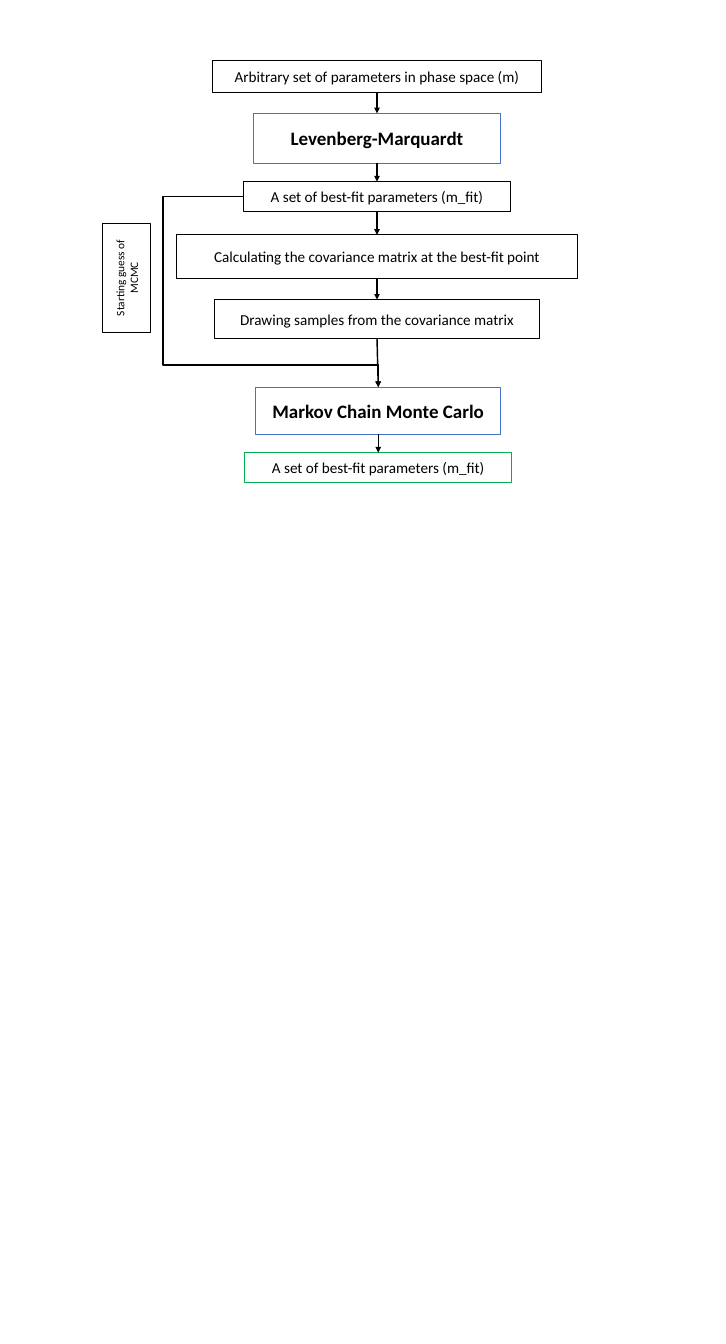
from itertools import pairwise
from lxml.etree import SubElement
from pptx import Presentation
from pptx.dml.color import RGBColor
from pptx.enum.shapes import MSO_CONNECTOR, MSO_SHAPE
from pptx.enum.text import MSO_ANCHOR, PP_ALIGN
from pptx.oxml.ns import qn
from pptx.util import Inches, Pt

HUES = {"ink": "000000", "paper": "FFFFFF", "blue": "4472C4", "green": "00B050"}
FONT = "Calibri"

# Centre, top, width and height in percent of the area.
STEPS = [
    ("Arbitrary set of parameters in phase space (m)", "ink", 16, (51.93, 4.47, 45.25, 2.44)),
    ("Levenberg-Marquardt", "blue", 20, (51.93, 8.43, 34.05, 3.71)),
    ("A set of best-fit parameters (m_fit)", "ink", 16, (51.93, 13.51, 36.78, 2.23)),
    ("Calculating the covariance matrix at the best-fit point", "ink", 16, (51.93, 17.47, 55.32, 3.25)),
    ("Drawing samples from the covariance matrix", "ink", 16, (51.93, 22.3, 44.87, 2.89)),
    ("Markov Chain Monte Carlo", "blue", 20, (52.1, 28.8, 33.77, 3.5)),
    ("A set of best-fit parameters (m_fit)", "green", 16, (52.1, 33.67, 36.78, 2.23)),
]
SIDE = ("Starting guess of MCMC", "ink", 12, (17.45, 18.89, 14.96, 3.56))


def tint(name):
    """Return a named colour."""
    return RGBColor.from_string(HUES[name])


def add_box(slide, area, text, edge, size, place):
    """Draw one labelled box at its share of the area."""
    left, top, width, height = area
    mid, down, wide, high = (share / 100 for share in place)
    box = slide.shapes.add_shape(
        MSO_SHAPE.RECTANGLE,
        int(left + (mid - wide / 2) * width), int(top + down * height),
        int(wide * width), int(high * height))
    box.shadow.inherit = False
    box.fill.solid()
    box.fill.fore_color.rgb = tint("paper")
    box.line.color.rgb = tint(edge)
    box.line.width = Pt(1)
    frame = box.text_frame
    frame.word_wrap = True
    frame.vertical_anchor = MSO_ANCHOR.MIDDLE
    para = frame.paragraphs[0]
    para.alignment = PP_ALIGN.CENTER
    run = para.add_run()
    run.text = text
    run.font.name = FONT
    run.font.size = Pt(size)
    run.font.bold = edge == "blue"
    run.font.color.rgb = tint("ink")
    return box


def add_link(slide, start, end, side=2, kind=MSO_CONNECTOR.STRAIGHT):
    """Join a side of one box to the top of another with an arrow."""
    link = slide.shapes.add_connector(kind, 0, 0, 0, 0)
    link.begin_connect(start, side)
    link.end_connect(end, 0)
    link.line.color.rgb = tint("ink")
    link.line.width = Pt(1.5)
    SubElement(link.line._get_or_add_ln(), qn("a:tailEnd"), type="triangle")
    SubElement(link._element.spPr, qn("a:effectLst"))
    return link


def add_bypass(slide, start, end):
    """Lead an arrow around the left of the steps between two boxes."""
    link = add_link(slide, start, end, 1, MSO_CONNECTOR.ELBOW)
    geom = link._element.spPr.find(qn("a:prstGeom"))
    geom.set("prst", "bentConnector4")
    guides = geom.find(qn("a:avLst"))
    for name, value in (("adj1", -59700), ("adj2", 88500)):
        SubElement(guides, qn("a:gd"), name=name, fmla=f"val {value}")


def add_flow(slide, area):
    """Draw the chain of steps, its arrows and the side label."""
    boxes = [add_box(slide, area, *step) for step in STEPS]
    for start, end in pairwise(boxes):
        add_link(slide, start, end)
    add_bypass(slide, boxes[2], boxes[5])
    add_box(slide, area, *SIDE).rotation = 270


def main():
    """Build and save the slide."""
    deck = Presentation()
    deck.slide_width, deck.slide_height = Inches(10.63), Inches(19.69)
    slide = deck.slides.add_slide(deck.slide_layouts[6])
    add_flow(slide, (0, 0, deck.slide_width, deck.slide_height))
    deck.save("out.pptx")


if __name__ == "__main__":
    main()
